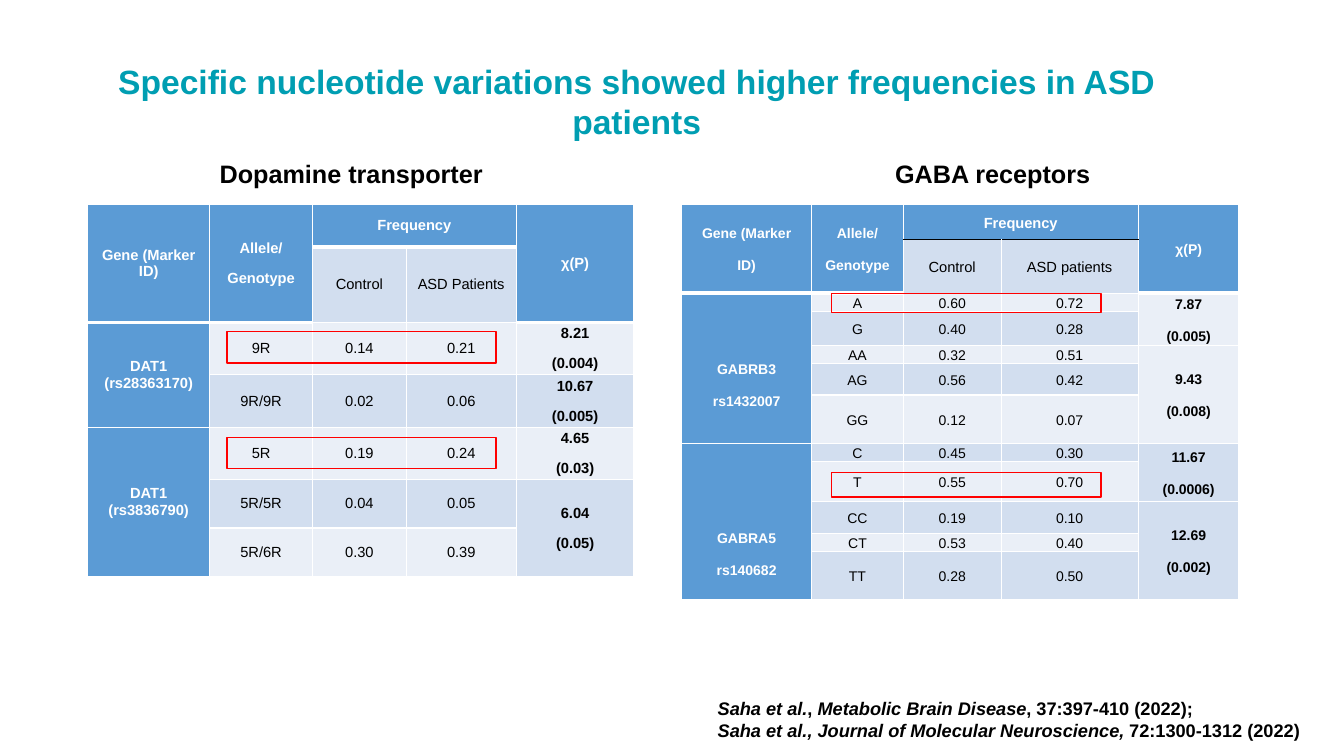
import pptx
import pptx.util
import pptx.dml.color
import pptx.enum.shapes
import pptx.enum.text
from lxml import etree

Inches, Pt = pptx.util.Inches, pptx.util.Pt
ALIGN = pptx.enum.text.PP_ALIGN
ANCHOR = pptx.enum.text.MSO_ANCHOR
NS = "http://schemas.openxmlformats.org/drawingml/2006/main"

# None marks a cell covered by the one above or, in the first row, to the left;
# "|" parts paragraphs.
DOPAMINE = [
    ["Gene (Marker ID)", "Allele/|Genotype", "Frequency", None, "χ(P)"],
    [None, None, "Control", "ASD Patients", None],
    ["DAT1 (rs28363170)", "9R", "0.14", "0.21", "8.21|(0.004)"],
    [None, "9R/9R", "0.02", "0.06", "10.67|(0.005)"],
    ["DAT1 (rs3836790)", "5R", "0.19", "0.24", "4.65|(0.03)"],
    [None, "5R/5R", "0.04", "0.05", "6.04|(0.05)"],
    [None, "5R/6R", "0.30", "0.39", None],
]
GABA = [
    ["Gene (Marker|ID)", "Allele/|Genotype", "Frequency", None, "χ(P)"],
    [None, None, "Control", "ASD patients", None],
    ["GABRB3|rs1432007", "A", "0.60", "0.72", "7.87|(0.005)"],
    [None, "G", "0.40", "0.28", None],
    [None, "AA", "0.32", "0.51", "9.43|(0.008)"],
    [None, "AG", "0.56", "0.42", None],
    [None, "GG", "0.12", "0.07", None],
    ["GABRA5|rs140682", "C", "0.45", "0.30", "11.67|(0.0006)"],
    [None, "T", "0.55", "0.70", None],
    [None, "CC", "0.19", "0.10", "12.69|(0.002)"],
    [None, "CT", "0.53", "0.40", None],
    [None, "TT", "0.28", "0.50", None],
]


def color(code):
    return pptx.dml.color.RGBColor.from_string(code)


def write(frame, paras, size=18, ink="000000", bold=True, align=ALIGN.LEFT,
          after=None, lead=None):
    """Fill a frame; each paragraph is a list of (text, italic) runs."""
    for i, runs in enumerate(paras):
        para = frame.add_paragraph() if i else frame.paragraphs[0]
        para.alignment = align
        if after is not None:
            para.space_after = Pt(after)
        if lead is not None:
            para.line_spacing = lead
        for text, slant in runs:
            run = para.add_run()
            run.text = text
            font = run.font
            font.name, font.size = "Arial", Pt(size)
            font.bold, font.italic = bold, slant
            font.color.rgb = color(ink)


def edge(cell, **sides):
    """Draw cell borders; each side is (colour, points)."""
    props = cell._tc.get_or_add_tcPr()
    for side in "LRTB":
        code, width = sides.get(side, ("FFFFFF", 1))
        line = etree.SubElement(props, f"{{{NS}}}ln{side}", w=str(Pt(width)))
        fill = etree.SubElement(line, f"{{{NS}}}solidFill")
        etree.SubElement(fill, f"{{{NS}}}srgbClr", val=code)


class Page:
    teal, red, blue = "009EB2", "FF0000", "5B9BD5"
    bands = ("EAEFF7", "D2DEEF")

    def __init__(self, deck):
        self.slide = deck.slides.add_slide(deck.slide_layouts[5])
        self.shapes = self.slide.shapes

    def title(self, box, text):
        shape = self.shapes.title
        shape.left, shape.top, shape.width, shape.height = map(Inches, box)
        frame = shape.text_frame
        frame.word_wrap = True
        frame.auto_size = pptx.enum.text.MSO_AUTO_SIZE.NONE
        frame.vertical_anchor = ANCHOR.TOP
        write(frame, [[(text, False)]], size=24, ink=self.teal, align=ALIGN.CENTER)

    def label(self, box, paras, wrap=False, **fmt):
        frame = self.shapes.add_textbox(*map(Inches, box)).text_frame
        frame.word_wrap = wrap
        write(frame, paras, **fmt)

    def frame(self, box):
        shape = self.shapes.add_shape(
            pptx.enum.shapes.MSO_SHAPE.RECTANGLE, *map(Inches, box))
        shape.shadow.inherit = False
        shape.fill.background()
        shape.line.color.rgb = color(self.red)
        shape.line.width = Pt(1)

    def table(self, spot, cols, rows, data, size, lead=None, rule=("FFFFFF", 3),
              drops=None):
        """Add a table; rule is the line under Frequency, drops lowers cell text."""
        grid = self.shapes.add_table(
            len(rows), len(cols), *map(Inches, (*spot, sum(cols), sum(rows)))).table
        grid.first_row = grid.horz_banding = False
        for col, width in zip(grid.columns, cols):
            col.width = Inches(width)
        for row, height in zip(grid.rows, rows):
            row.height = Inches(height)
        for r, line in enumerate(data):
            for c, text in enumerate(line):
                self.cell(grid.cell(r, c), r, c, text, size, lead, rule,
                          (drops or {}).get((r, c), 0))
        for c in range(len(cols)):
            tops = [r for r, line in enumerate(data) if line[c]]
            for top, stop in zip(tops, tops[1:] + [len(data)]):
                if stop - top > 1:
                    grid.cell(top, c).merge(grid.cell(stop - 1, c))
        grid.cell(0, 2).merge(grid.cell(0, 3))

    def cell(self, cell, r, c, text, size, lead, rule, drop):
        head = c == 0 or r == 0 or (r == 1 and c in (1, 4))
        middle = c in (2, 3)
        sides = {}
        if r < 2 and not middle:
            sides["B"] = ("FFFFFF", 3)
        elif middle and r < 2:
            sides["T" if r else "B"] = rule
            if not r:
                sides["T"] = ("FFFFFF", 1)
        edge(cell, **sides)
        cell.fill.solid()
        cell.fill.fore_color.rgb = color(self.blue if head else self.bands[r % 2])
        cell.vertical_anchor = ANCHOR.MIDDLE
        cell.margin_left = cell.margin_right = Inches(0.07)
        cell.margin_top, cell.margin_bottom = Inches(drop), 0
        if text:
            write(cell.text_frame, [[(part, False)] for part in text.split("|")],
                  size=10.5 if middle and r < 2 else size,
                  ink="FFFFFF" if head else "000000", bold=head or c == 4,
                  align=ALIGN.CENTER, after=10, lead=lead)


def main():
    deck = pptx.Presentation()
    deck.slide_width, deck.slide_height = Inches(13.33), Inches(7.5)
    page = Page(deck)
    page.title((0.94, 0.55, 10.75, 0.91),
               "Specific nucleotide variations showed higher frequencies in ASD patients")
    page.table((0.87, 2.03), [1.21, 1.02, 0.93, 1.09, 1.17],
               [0.42, 0.75, 0.52, 0.52, 0.52, 0.48, 0.48], DOPAMINE, 10.5)
    page.table((6.76, 2.03), [1.29, 0.91, 0.97, 1.36, 1],
               [0.35, 0.53, 0.18, 0.34, 0.18, 0.31, 0.48, 0.18, 0.4, 0.31, 0.18, 0.48],
               GABA, 10, lead=1.15, rule=("000000", 1),
               drops={(2, 0): 0.32, (7, 0): 0.64})
    for left, top, height in [(2.25, 3.29, 0.31), (2.25, 4.34, 0.31),
                              (8.25, 2.91, 0.19), (8.25, 4.69, 0.24)]:
        page.frame((left, top, 2.67, height))
    page.label((2.08, 1.52, 2.84, 0.4), [[("Dopamine transporter", False)]])
    page.label((8.78, 1.52, 2.23, 0.4), [[("GABA receptors", False)]])
    page.label((7.02, 6.87, 6.2, 0.54), [
        [("Saha et al.", True), (", ", False), ("Metabolic Brain Disease", True),
         (", 37:397-410 (2022);", False)],
        [("Saha et al., Journal of Molecular Neuroscience, ", True),
         ("72:1300-1312 (2022)", False)],
    ], wrap=True, size=13)
    deck.save("out.pptx")


if __name__ == "__main__":
    main()
